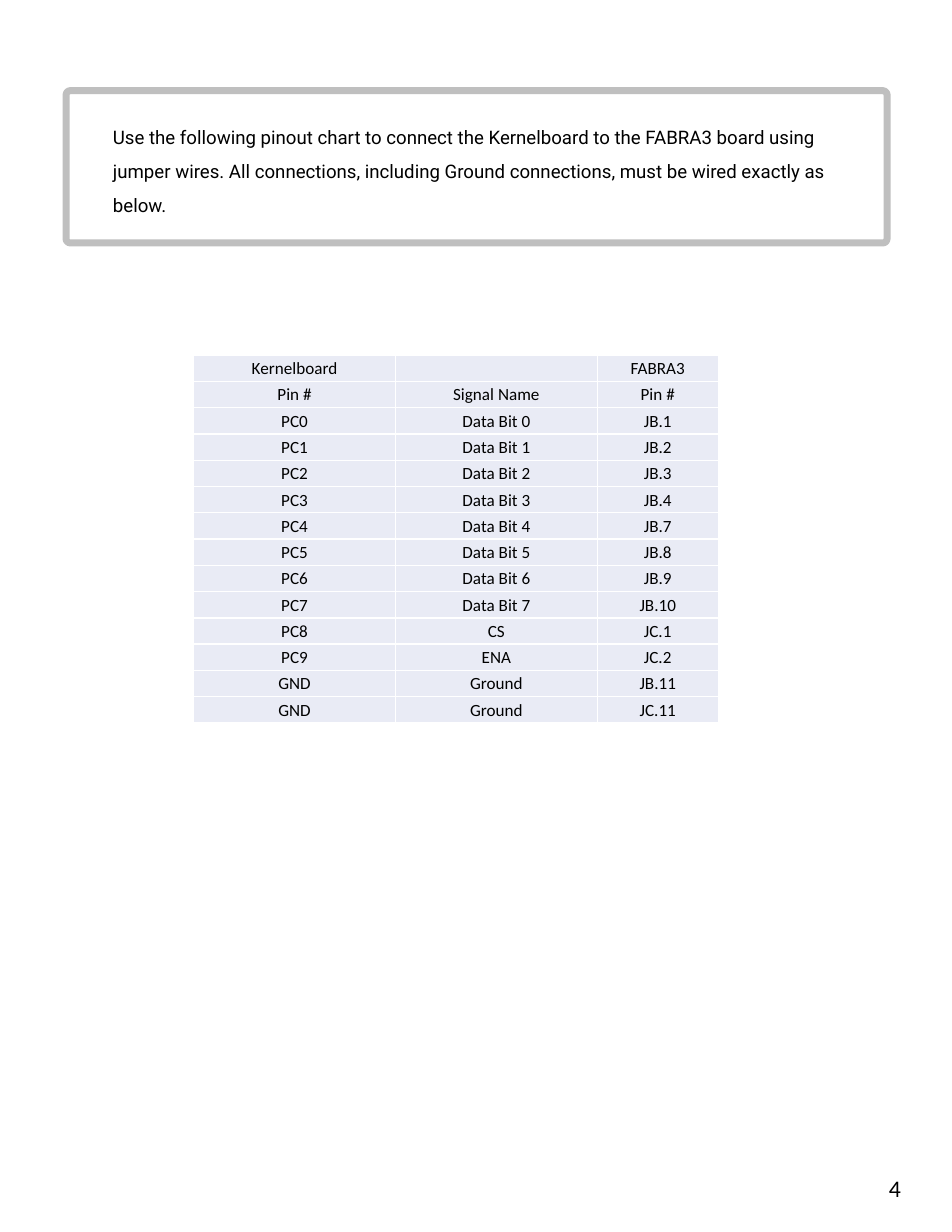
"""Builds a letter-size page with a boxed note and a pinout table."""
import dataclasses

import lxml.etree
import pptx
import pptx.dml.color
import pptx.enum.shapes
import pptx.enum.text
import pptx.oxml.ns
import pptx.util

Pt = pptx.util.Pt
RGB = pptx.dml.color.RGBColor.from_string
CENTER = pptx.enum.text.PP_ALIGN.CENTER
NOTE = ("Use the following pinout chart to connect the Kernelboard to the "
        "FABRA3 board using jumper wires. All connections, including Ground "
        "connections, must be wired exactly as below.")
PORTS = (1, 2, 3, 4, 7, 8, 9, 10)
ROWS = [
    ("Kernelboard", "", "FABRA3"),
    ("Pin #", "Signal Name", "Pin #"),
    *[(f"PC{bit}", f"Data Bit {bit}", f"JB.{port}")
      for bit, port in enumerate(PORTS)],
    ("PC8", "CS", "JC.1"),
    ("PC9", "ENA", "JC.2"),
    ("GND", "Ground", "JB.11"),
    ("GND", "Ground", "JC.11"),
]


@dataclasses.dataclass(frozen=True)
class Theme:
    ink: str = "000000"
    frame: str = "BFBFBF"
    cell: str = "E9EBF5"
    rule: str = "FFFFFF"
    prose: str = "Roboto"
    plain: str = "Calibri"
    note: float = 12
    grid: float = 11
    page: float = 15.3


class Page:
    def __init__(self, slide, theme):
        self.slide = slide
        self.theme = theme

    def run(self, para, text, face, size):
        run = para.add_run()
        run.text = text
        run.font.name = face
        run.font.size = Pt(size)
        run.font.color.rgb = RGB(self.theme.ink)

    def text(self, box, text, face, size):
        frame = self.slide.shapes.add_textbox(*map(Pt, box)).text_frame
        frame.word_wrap = True
        para = frame.paragraphs[0]
        self.run(para, text, face, size)
        return para

    def frame(self, box, width, round):
        shape = self.slide.shapes.add_shape(
            pptx.enum.shapes.MSO_SHAPE.ROUNDED_RECTANGLE, *map(Pt, box))
        shape.adjustments[0] = round
        shape.shadow.inherit = False
        shape.fill.background()
        shape.line.color.rgb = RGB(self.theme.frame)
        shape.line.width = Pt(width)

    def border(self, cell, width):
        qn = pptx.oxml.ns.qn
        props = cell._tc.get_or_add_tcPr()
        for side in "LRTB":
            line = lxml.etree.SubElement(
                props, qn(f"a:ln{side}"), w=str(Pt(width)))
            fill = lxml.etree.SubElement(line, qn("a:solidFill"))
            lxml.etree.SubElement(
                fill, qn("a:srgbClr"), val=self.theme.rule)

    def cell(self, cell, text):
        theme = self.theme
        self.border(cell, 1)
        cell.fill.solid()
        cell.fill.fore_color.rgb = RGB(theme.cell)
        cell.margin_left = cell.margin_right = cell.margin_top = Pt(0.72)
        cell.margin_bottom = 0
        cell.vertical_anchor = pptx.enum.text.MSO_ANCHOR.MIDDLE
        para = cell.text_frame.paragraphs[0]
        para.alignment = CENTER
        if text:
            self.run(para, text, theme.plain, theme.grid)
        else:
            lxml.etree.SubElement(para._p, pptx.oxml.ns.qn("a:endParaRPr"),
                                  sz=str(int(theme.grid * 100)))

    def table(self, left, top, widths, height, rows):
        table = self.slide.shapes.add_table(
            len(rows), len(widths), Pt(left), Pt(top),
            Pt(sum(widths)), Pt(height * len(rows))).table
        table.first_row = table.horz_banding = False
        for col, width in zip(table.columns, widths):
            col.width = Pt(width)
        for row, texts in zip(table.rows, rows):
            row.height = Pt(height)
            for cell, text in zip(row.cells, texts):
                self.cell(cell, text)


def main():
    deck = pptx.Presentation()
    deck.slide_width, deck.slide_height = Pt(612), Pt(792)
    theme = Theme()
    page = Page(deck.slides.add_slide(deck.slide_layouts[6]), theme)

    note = page.text((65.5, 70.5, 481.7, 74.2), NOTE, theme.prose, theme.note)
    note.line_spacing = 1.5
    note.space_after = Pt(8)
    page.frame((42.5, 58.3, 527.8, 97.9), 4.5, 0.028)
    number = page.text((538.5, 751, 73.5, 42.5), "4", theme.plain, theme.page)
    number.alignment = CENTER
    page.table(124.5, 228.25, (129.75, 129.75, 77.75), 16.9, ROWS)

    deck.save("out.pptx")


if __name__ == "__main__":
    main()
